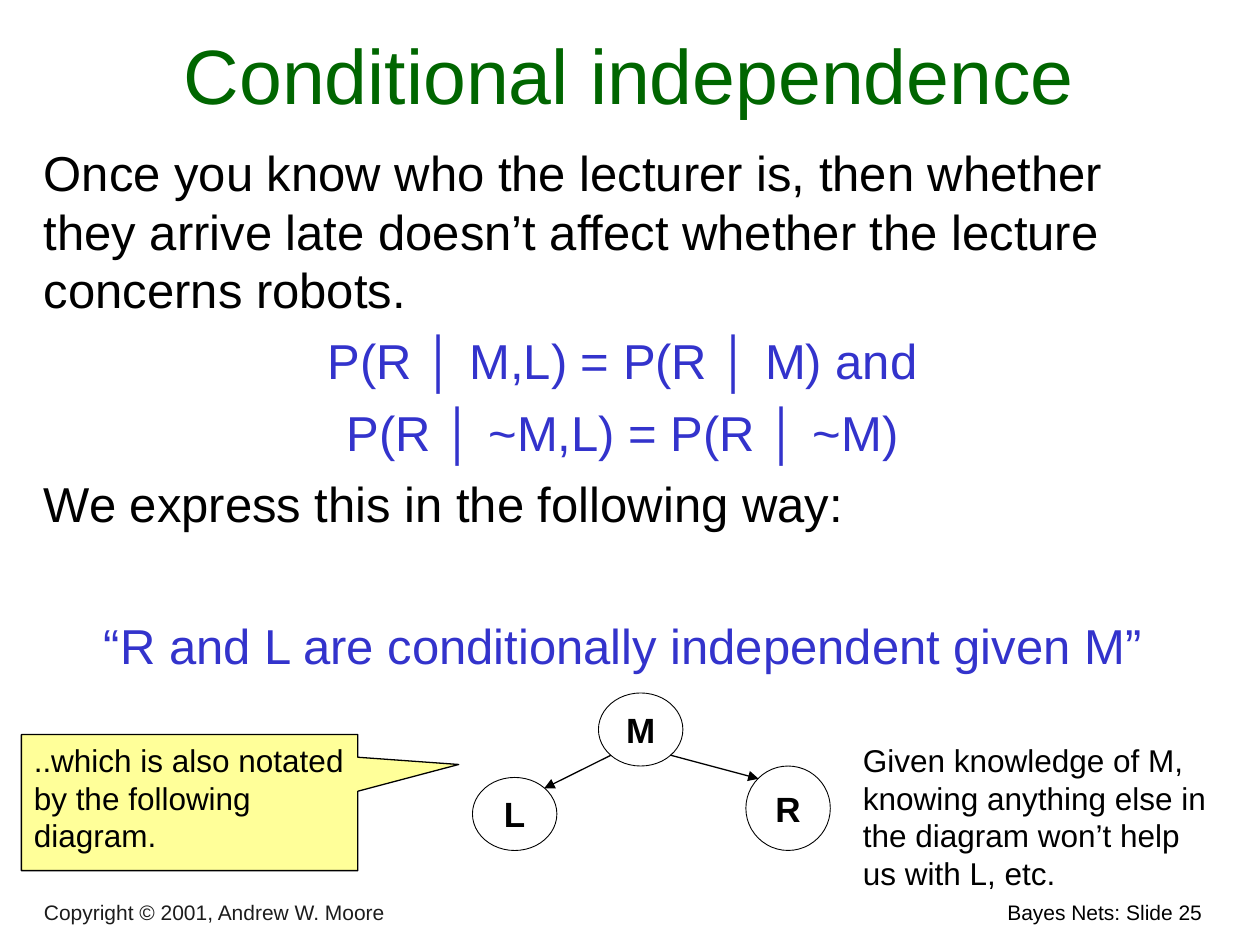
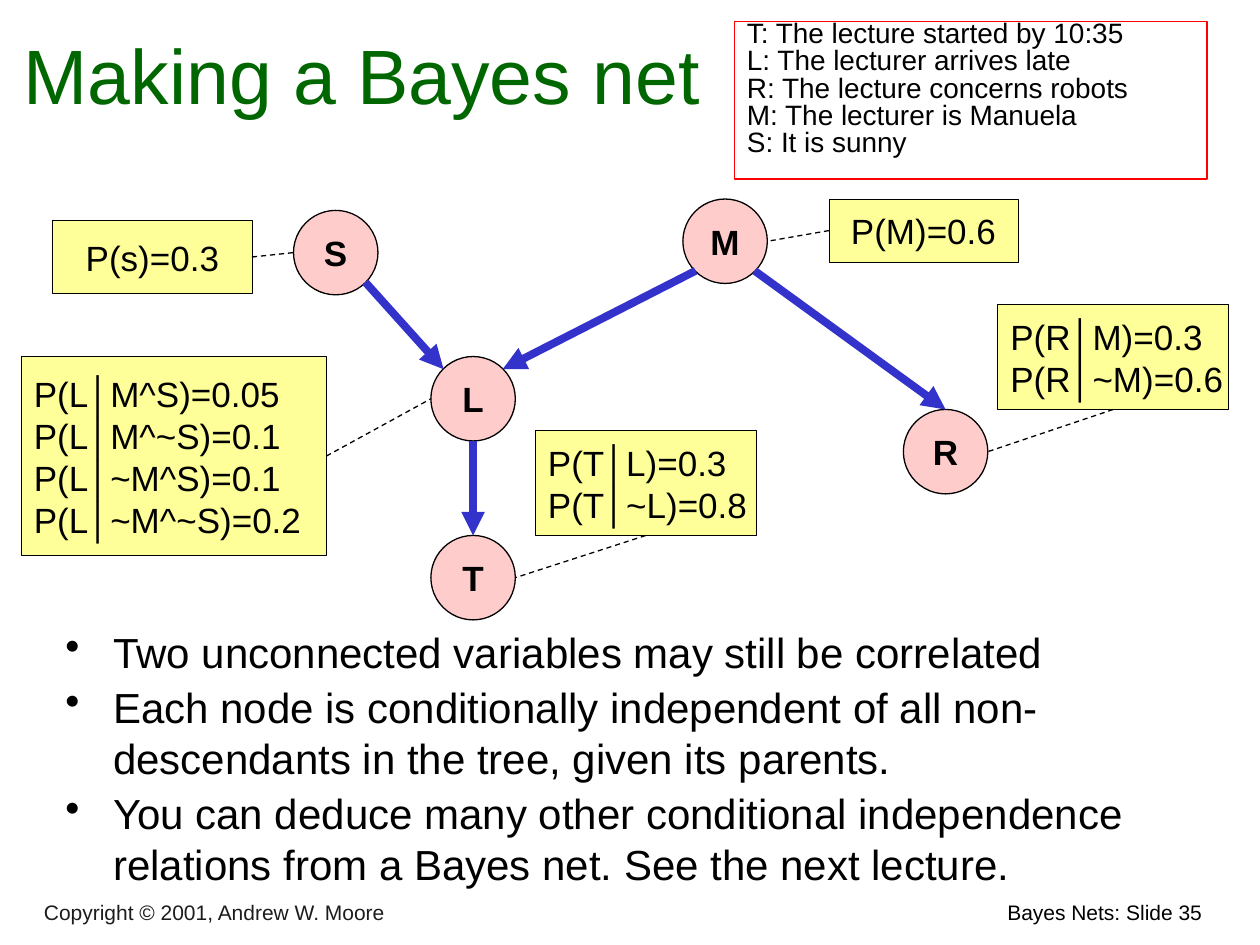
from dataclasses import dataclass

from lxml import etree
from pptx import Presentation
from pptx.dml.color import RGBColor
from pptx.enum.dml import MSO_LINE
from pptx.enum.shapes import MSO_CONNECTOR, MSO_SHAPE
from pptx.enum.text import MSO_ANCHOR, MSO_AUTO_SIZE, PP_ALIGN
from pptx.oxml.ns import qn
from pptx.util import Inches, Pt

LEFT, CENTER, RIGHT = PP_ALIGN.LEFT, PP_ALIGN.CENTER, PP_ALIGN.RIGHT
TOP, MIDDLE, BOTTOM = MSO_ANCHOR.TOP, MSO_ANCHOR.MIDDLE, MSO_ANCHOR.BOTTOM
NO_FIT = MSO_AUTO_SIZE.NONE
STRAIGHT = MSO_CONNECTOR.STRAIGHT
OVAL, RECTANGLE = MSO_SHAPE.OVAL, MSO_SHAPE.RECTANGLE
CALLOUT = MSO_SHAPE.RECTANGULAR_CALLOUT
DASH = MSO_LINE.DASH


@dataclass(frozen=True)
class Theme:
    font: str = "Arial"
    black: str = "000000"
    copyright: str = "1C1C1C"
    title: str = "006600"
    accent: str = "3333CC"
    note: str = "FFFF99"
    node: str = "FFCCCC"
    legend: str = "FF0000"
    title_size: float = 44
    body_size: float = 28
    bullet_size: float = 24
    label_size: float = 20
    note_size: float = 18
    legend_size: float = 16
    footer_size: float = 12
    hanging: float = 0.38
    node_size: float = 0.67


THEME = Theme()

# Where an edge can meet a shape, as fractions of its width and height
SITES = {
    "top": (0.5, 0), "bottom": (0.5, 1), "left": (0, 0.5), "right": (1, 0.5),
    "top left": (0.15, 0.15), "top right": (0.85, 0.15),
    "bottom left": (0.15, 0.85), "bottom right": (0.85, 0.85),
}


# Shared helpers
def inches(box):
    return [Inches(length) for length in box]


def color(value):
    return RGBColor.from_string(value)


def style(para, size, value=THEME.black, align=LEFT, bold=False, before=0):
    para.alignment = align
    para.space_before = Pt(before)
    para.font.name = THEME.font
    para.font.size = Pt(size)
    para.font.bold = bold
    para.font.color.rgb = color(value)


def hang(para, bullet=None):
    properties = para._p.get_or_add_pPr()
    properties.set("marL", str(Inches(THEME.hanging)))
    properties.set("indent", str(-Inches(THEME.hanging)))
    if bullet:
        etree.SubElement(properties, qn("a:buChar")).set("char", bullet)


def fill_text(shape, lines, size, anchor=TOP, wrap=True, hanging=False,
              bullet=None, gap=0, spacing=None, **look):
    frame = shape.text_frame
    frame.auto_size = NO_FIT
    frame.word_wrap = wrap
    frame.vertical_anchor = anchor
    for index, line in enumerate(lines):
        para = frame.paragraphs[0] if index == 0 else frame.add_paragraph()
        para.text = line
        if hanging:
            hang(para, bullet)
        style(para, size, before=gap if index else 0, **look)
        if spacing:
            para.line_spacing = spacing
    return shape


def add_text(page, box, lines, size, **look):
    return fill_text(page.shapes.add_textbox(*inches(box)), lines, size, **look)


def add_outlined(page, kind, box, fill=None, line=THEME.black, width=0.75):
    shape = page.shapes.add_shape(kind, *inches(box))
    shape.shadow.inherit = False
    if fill:
        shape.fill.solid()
        shape.fill.fore_color.rgb = color(fill)
    else:
        shape.fill.background()
    shape.line.color.rgb = color(line)
    shape.line.width = Pt(width)
    return shape


def add_node(page, letter, left, top, height=THEME.node_size, **look):
    node = add_outlined(page, OVAL, (left, top, THEME.node_size, height), **look)
    return fill_text(node, [letter], THEME.label_size, anchor=MIDDLE, wrap=False,
                     hanging=True, align=CENTER, bold=True)


def site_point(shape, site):
    across, down = SITES[site]
    return (int(shape.left + across * shape.width),
            int(shape.top + down * shape.height))


def add_edge(page, start, start_site, end, end_site,
             value=THEME.black, width=0.75, dash=None, arrow=False):
    edge = page.shapes.add_connector(
        STRAIGHT, *site_point(start, start_site), *site_point(end, end_site))
    edge.line.color.rgb = color(value)
    edge.line.width = Pt(width)
    if dash:
        edge.line.dash_style = dash
    if arrow:
        outline = edge.line._get_or_add_ln()
        etree.SubElement(outline, qn("a:tailEnd")).set("type", "triangle")
    etree.SubElement(edge._element.spPr, qn("a:effectLst"))


def add_page(deck, title, title_box, number):
    page = deck.slides.add_slide(deck.slide_layouts[5])
    heading = page.shapes.title
    heading.left, heading.top, heading.width, heading.height = inches(title_box)
    fill_text(heading, [title], THEME.title_size, anchor=BOTTOM,
              value=THEME.title, align=CENTER)
    # Footer
    add_text(page, (5.72, 7.09, 3.92, 0.3), [f"Bayes Nets: Slide {number}"],
             THEME.footer_size, align=RIGHT)
    add_text(page, (0.25, 7.11, 5.55, 0.28), ["Copyright © 2001, Andrew W. Moore"],
             THEME.footer_size, anchor=BOTTOM, value=THEME.copyright)
    return page


# Conditional independence
def add_statement(page, box):
    frame = page.shapes.add_textbox(*inches(box)).text_frame
    frame.word_wrap = True
    plain = {"value": THEME.black, "align": LEFT}
    formula = {"value": THEME.accent, "align": CENTER}
    statement = [
        ("Once you know who the lecturer is, then whether they arrive late "
         "doesn’t affect whether the lecture concerns robots.", plain, 0),
        ("P(R │ M,L) = P(R │ M) and", formula, 7),
        ("P(R │ ~M,L) = P(R │ ~M)", formula, 7),
        ("We express this in the following way:", plain, 7),
        ("“R and L are conditionally independent given M”", formula, 47.5),
    ]
    for index, (line, look, before) in enumerate(statement):
        para = frame.paragraphs[0] if index == 0 else frame.add_paragraph()
        para.text = line
        style(para, THEME.body_size, before=before, **look)


def add_small_net(page, left, top):
    parent = add_node(page, "M", left + 1, top, height=0.58, width=0.5)
    late = add_node(page, "L", left, top + 0.67, height=0.58, width=0.5)
    robots = add_node(page, "R", left + 2.17, top + 0.58, width=0.5)
    add_edge(page, parent, "bottom left", late, "top right", arrow=True)
    add_edge(page, parent, "bottom right", robots, "top left", arrow=True)


def add_side_notes(page, left, top):
    add_text(page, (left + 6.58, top, 3, 1.3),
             ["Given knowledge of M, knowing anything else in the diagram "
              "won’t help us with L, etc."], THEME.note_size)
    callout = add_outlined(page, CALLOUT, (left, top, 2.67, 1.08), fill=THEME.note)
    callout.adjustments[0] = 0.8
    callout.adjustments[1] = -0.28
    fill_text(callout, ["..which is also notated by the following diagram."],
              THEME.note_size)


def build_independence(deck):
    page = add_page(deck, "Conditional independence", (0.08, 0.17, 9.83, 0.83), 25)
    add_statement(page, (0.25, 1.08, 9.38, 4.3))
    add_small_net(page, 3.75, 5.5)
    add_side_notes(page, 0.17, 5.83)


# Making a Bayes net
def add_bayes_net(page, left, top):
    places = {"S": (2.16, 0.09), "M": (5.25, 0), "R": (7, 1.67),
              "L": (3.25, 1.25), "T": (3.25, 2.67)}
    nodes = {letter: add_node(page, letter, left + x, top + y, fill=THEME.node)
             for letter, (x, y) in places.items()}

    # Probability tables: node, box, lines, alignment, sites of the dashed link
    tables = [
        ("S", (0.25, 0.17, 1.58, 0.58), ["P(s)=0.3"], CENTER, "right", "left"),
        ("M", (6.41, 0, 1.5, 0.5), ["P(M)=0.6"], CENTER, "left", "right"),
        ("R", (7.75, 0.84, 1.83, 0.83), ["P(R│M)=0.3", "P(R│~M)=0.6"],
         LEFT, "bottom", "right"),
        ("T", (4.08, 1.84, 1.75, 0.83), ["P(T│L)=0.3", "P(T│~L)=0.8"],
         LEFT, "bottom", "right"),
        ("L", (0, 1.25, 2.42, 1.58),
         ["P(L│M^S)=0.05", "P(L│M^~S)=0.1", "P(L│~M^S)=0.1", "P(L│~M^~S)=0.2"],
         LEFT, "right", "left"),
    ]
    for letter, (x, y, width, height), lines, align, start, end in tables:
        table = add_outlined(page, RECTANGLE, (left + x, top + y, width, height),
                             fill=THEME.note, width=0.5)
        fill_text(table, lines, THEME.label_size, anchor=MIDDLE, wrap=False,
                  hanging=True, align=align)
        add_edge(page, table, start, nodes[letter], end, dash=DASH)

    # Dependencies
    for parent, start, child, end in [
        ("S", "bottom right", "L", "top left"),
        ("M", "bottom left", "L", "top right"),
        ("M", "bottom right", "R", "top"),
        ("L", "bottom", "T", "top"),
    ]:
        add_edge(page, nodes[parent], start, nodes[child], end,
                 value=THEME.accent, width=4.5, arrow=True)


def add_conclusions(page, box):
    add_text(page, box, [
        "Two unconnected variables may still be correlated",
        "Each node is conditionally independent of all non-descendants in the "
        "tree, given its parents.",
        "You can deduce many other conditional independence relations from a "
        "Bayes net. See the next lecture.",
    ], THEME.bullet_size, hanging=True, bullet="•", gap=3)


def add_legend(page, box):
    legend = add_outlined(page, RECTANGLE, box, line=THEME.legend)
    fill_text(legend, [
        "T: The lecture started by 10:35",
        "L: The lecturer arrives late",
        "R: The lecture concerns robots",
        "M: The lecturer is Manuela",
        "S: It is sunny",
    ], THEME.legend_size, hanging=True, gap=4, spacing=0.6)


def build_bayes_net(deck):
    page = add_page(deck, "Making a Bayes net", (0, 0.17, 5.75, 0.83), 35)
    add_bayes_net(page, 0.17, 1.58)
    add_conclusions(page, (0.42, 4.92, 9.17, 2.19))
    add_legend(page, (5.83, 0.17, 3.75, 1.25))


def main():
    deck = Presentation()
    deck.slide_width, deck.slide_height = Inches(10), Inches(7.5)
    build_independence(deck)
    build_bayes_net(deck)
    deck.save("out.pptx")


if __name__ == "__main__":
    main()
